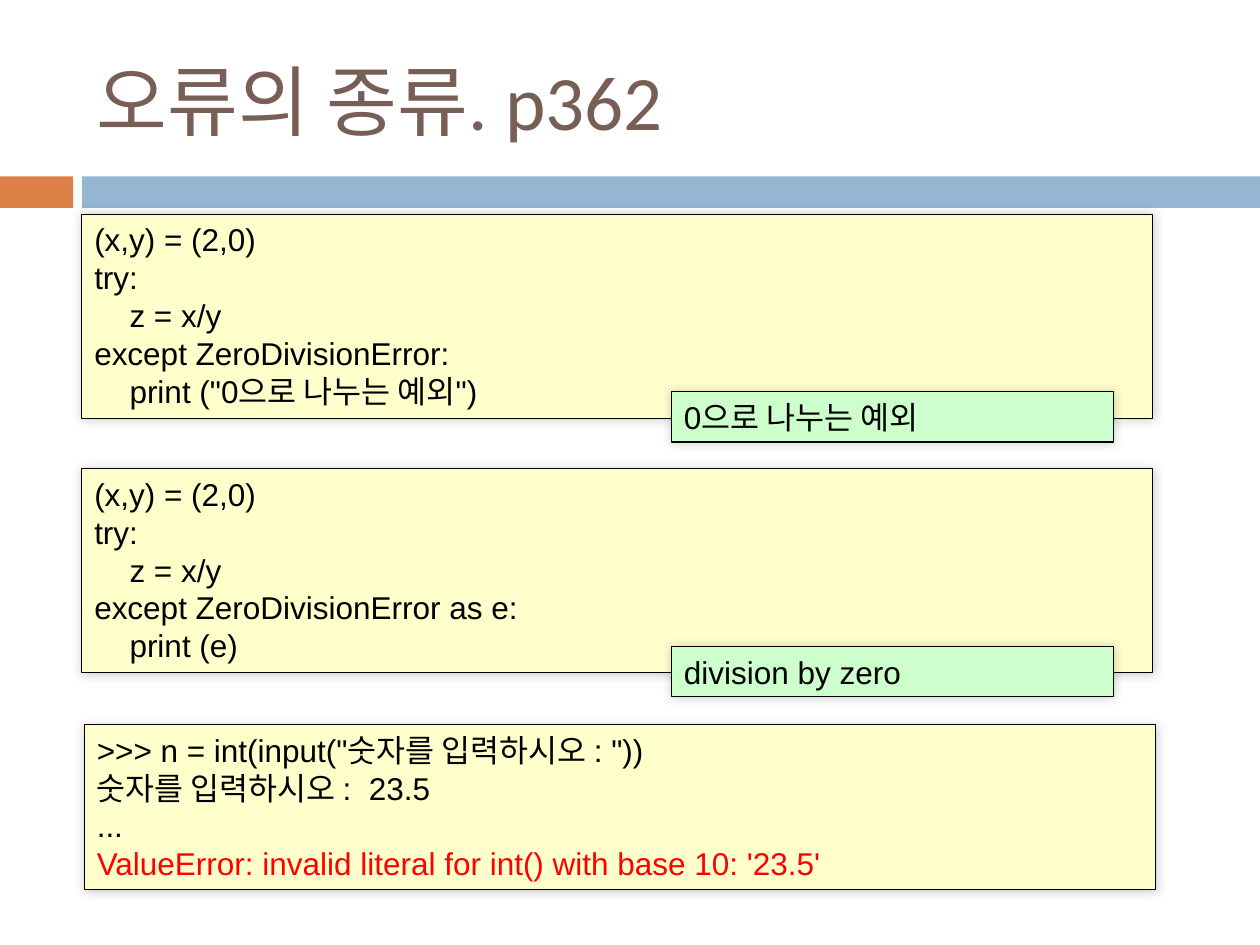
from lxml import etree
from pptx import Presentation
from pptx.dml.color import RGBColor
from pptx.enum.shapes import MSO_SHAPE
from pptx.enum.text import MSO_ANCHOR, PP_ALIGN
from pptx.oxml.ns import qn
from pptx.util import Inches, Pt

RECT = MSO_SHAPE.RECTANGLE
LEFT = PP_ALIGN.LEFT
TOP, MIDDLE = MSO_ANCHOR.TOP, MSO_ANCHOR.MIDDLE

BLACK = RGBColor(0x00, 0x00, 0x00)
RED = RGBColor(0xFF, 0x00, 0x00)
BROWN = RGBColor(0x77, 0x5F, 0x55)
ORANGE = RGBColor(0xDD, 0x80, 0x47)
BLUE = RGBColor(0x94, 0xB6, 0xD2)
CODE_FILL = RGBColor(0xFF, 0xFF, 0xCC)
OUTPUT_FILL = RGBColor(0xCC, 0xFF, 0xCC)

TITLE_FONT = {"name": "Calibri", "size": Pt(44)}
CODE_FONT = {"name": "Arial", "size": Pt(18)}
INDENT = Inches(0.28)

# Each line is (indent level, text, colour)
DIVISION = [(0, "(x,y) = (2,0)", BLACK), (0, "try:", BLACK), (1, "z = x/y", BLACK)]
CATCH_ZERO = DIVISION + [
    (0, "except ZeroDivisionError:", BLACK),
    (1, 'print ("0으로 나누는 예외")', BLACK),
]
CATCH_AS_E = DIVISION + [
    (0, "except ZeroDivisionError as e:", BLACK),
    (1, "print (e)", BLACK),
]
SESSION = [
    (0, '>>> n = int(input("숫자를 입력하시오 : "))', BLACK),
    (0, "숫자를 입력하시오 :  23.5", BLACK),
    (0, "...", BLACK),
    (0, "ValueError: invalid literal for int() with base 10: '23.5'", RED),
]


def add_rect(s, box, fill):
    sp = s.shapes.add_shape(RECT, *map(Inches, box))
    sp.shadow.inherit = False
    sp.fill.solid()
    sp.fill.fore_color.rgb = fill
    sp.line.fill.background()
    return sp


def write_lines(tf, lines, font, anchor):
    tf.word_wrap = True
    tf.vertical_anchor = anchor
    for i, (level, text, color) in enumerate(lines):
        p = tf.paragraphs[0] if i == 0 else tf.add_paragraph()
        p.alignment = LEFT
        if level:
            p._p.get_or_add_pPr().set("marL", str(level * INDENT))
        r = p.add_run()
        r.text = text
        r.font.color.rgb = color
        for key, value in font.items():
            setattr(r.font, key, value)


def add_soft_shadow(sp):
    effects = sp._element.spPr.find(qn("a:effectLst"))
    shadow = etree.SubElement(effects, qn("a:outerShdw"), blurRad=str(Pt(6)),
                              dist="0", dir=str(315 * 60000), rotWithShape="0")
    color = etree.SubElement(shadow, qn("a:srgbClr"), val=str(BLACK))
    etree.SubElement(color, qn("a:alpha"), val="20000")


def add_header(s, box):
    """Title with the two-part band below it."""
    left, top, width, height = box
    tb = s.shapes.add_textbox(*map(Inches, (left + 0.67, top + 0.25, 8.92, 1.08)))
    write_lines(tb.text_frame, [(0, "오류의 종류. p362", BROWN)], TITLE_FONT, MIDDLE)
    band = 0.25
    band_top = top + height - band
    add_rect(s, (left, band_top, 0.58, band), ORANGE)
    add_rect(s, (left + 0.65, band_top, width - 0.65, band), BLUE)


def add_panel(s, box, lines, fill):
    """Outlined box with code or program output."""
    sp = add_rect(s, box, fill)
    sp.line.color.rgb = BLACK
    sp.line.width = Pt(0.75)
    add_soft_shadow(sp)
    write_lines(sp.text_frame, lines, CODE_FONT, TOP)


def add_example(s, box, code, output):
    """Code panel with its output overlapping the lower right edge."""
    left, top, _, _ = box
    add_panel(s, box, code, CODE_FILL)
    add_panel(s, (left + 4.68, top + 1.41, 3.51, 0.4), [(0, output, BLACK)], OUTPUT_FILL)


def main():
    prs = Presentation()
    prs.slide_width, prs.slide_height = Inches(10), Inches(7.5)
    s = prs.slides.add_slide(prs.slide_layouts[6])

    add_header(s, (0, 0, 10, 1.65))
    add_example(s, (0.65, 1.7, 8.5, 1.62), CATCH_ZERO, "0으로 나누는 예외")
    add_example(s, (0.65, 3.72, 8.5, 1.62), CATCH_AS_E, "division by zero")
    add_panel(s, (0.67, 5.75, 8.5, 1.31), SESSION, CODE_FILL)

    prs.save("out.pptx")


if __name__ == "__main__":
    main()
